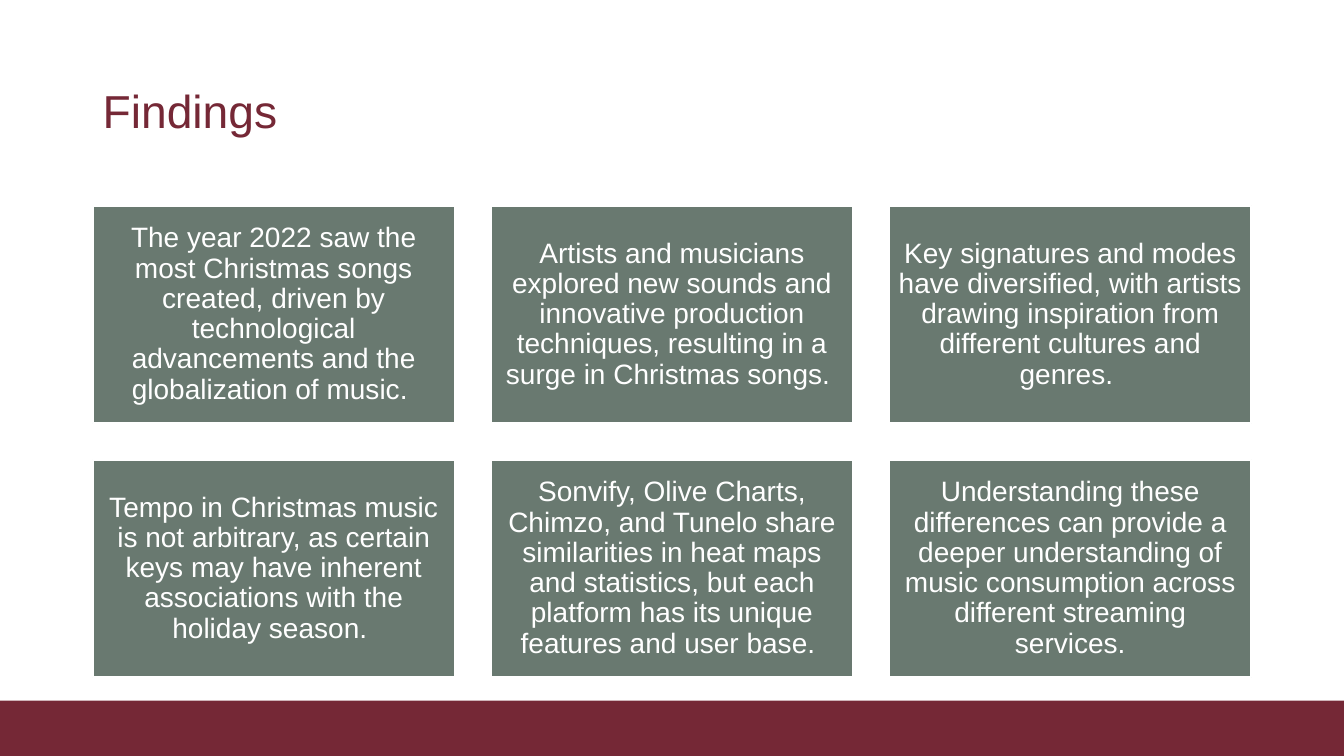
"""Build the Findings slide: a title, six finding cards and a footer band."""
from dataclasses import dataclass

from pptx import Presentation
from pptx.dml.color import RGBColor
from pptx.enum.shapes import MSO_SHAPE
from pptx.enum.text import MSO_ANCHOR, PP_ALIGN
from pptx.util import Inches, Pt

RECTANGLE = MSO_SHAPE.RECTANGLE
MIDDLE = MSO_ANCHOR.MIDDLE
LEFT, CENTER = PP_ALIGN.LEFT, PP_ALIGN.CENTER

SLIDE_WIDTH, SLIDE_HEIGHT = 13.33, 7.5
FOOTER_TOP = 6.95
CARD_LEFT, CARD_TOP = 0.92, 2.04
CARD_WIDTH, CARD_HEIGHT = 3.59, 2.16
CARD_GAP = 0.36
COLUMNS = 3

FINDINGS = [
    "The year 2022 saw the most Christmas songs created, driven by "
    "technological advancements and the globalization of music. ",
    "Artists and musicians explored new sounds and innovative production "
    "techniques, resulting in a surge in Christmas songs. ",
    "Key signatures and modes have diversified, with artists drawing "
    "inspiration from different cultures and genres. ",
    "Tempo in Christmas music is not arbitrary, as certain keys may have "
    "inherent associations with the holiday season. ",
    "Sonvify, Olive Charts, Chimzo, and Tunelo share similarities in heat maps "
    "and statistics, but each platform has its unique features and user base. ",
    "Understanding these differences can provide a deeper understanding of "
    "music consumption across different streaming services.",
]


@dataclass(frozen=True)
class Theme:
    """Colours, font and type sizes of the slide."""
    burgundy: RGBColor = RGBColor.from_string("752836")
    sage: RGBColor = RGBColor.from_string("697970")
    white: RGBColor = RGBColor.from_string("FFFFFF")
    font: str = "Arial"
    title_size: float = 33
    card_size: float = 20
    outline: float = 1.5
    line_spacing: float = 0.9


def write_text(shape, text, *, font, size, color, align, spacing, inset):
    """Fill a shape with one formatted, vertically centred paragraph."""
    frame = shape.text_frame
    frame.word_wrap = True
    frame.vertical_anchor = MIDDLE
    frame.margin_left = frame.margin_right = Inches(inset)
    frame.margin_top = frame.margin_bottom = Inches(inset)
    para = frame.paragraphs[0]
    para.alignment = align
    para.line_spacing = spacing
    span = para.add_run()
    span.text = text
    span.font.name = font
    span.font.size = Pt(size)
    span.font.color.rgb = color


class SlideBuilder:
    """Draw the elements of one page in a shared style."""

    def __init__(self, page, theme):
        """Keep the page and its theme."""
        self.page = page
        self.theme = theme

    def rectangle(self, left, top, width, height, fill, outline=None):
        """Add a flat rectangle with an optional outline."""
        box = self.page.shapes.add_shape(
            RECTANGLE, Inches(left), Inches(top), Inches(width), Inches(height))
        box.shadow.inherit = False
        box.fill.solid()
        box.fill.fore_color.rgb = fill
        if outline is None:
            box.line.fill.background()
        else:
            box.line.color.rgb = outline
            box.line.width = Pt(self.theme.outline)
        return box

    def footer(self):
        """Add the band along the bottom edge."""
        self.rectangle(0, FOOTER_TOP, SLIDE_WIDTH, SLIDE_HEIGHT - FOOTER_TOP,
                       self.theme.burgundy)

    def title(self, text):
        """Add the slide title."""
        box = self.page.shapes.add_textbox(
            Inches(CARD_LEFT), Inches(0.4), Inches(11.5), Inches(1.45))
        write_text(box, text, font=self.theme.font, size=self.theme.title_size,
                   color=self.theme.burgundy, align=LEFT,
                   spacing=self.theme.line_spacing, inset=0.1)

    def card(self, text, left, top):
        """Add one finding card."""
        box = self.rectangle(left, top, CARD_WIDTH, CARD_HEIGHT,
                             self.theme.sage, self.theme.white)
        write_text(box, text, font=self.theme.font, size=self.theme.card_size,
                   color=self.theme.white, align=CENTER,
                   spacing=self.theme.line_spacing, inset=0.08)


def main():
    """Build and save the deck."""
    deck = Presentation()
    deck.slide_width = Inches(SLIDE_WIDTH)
    deck.slide_height = Inches(SLIDE_HEIGHT)
    page = deck.slides.add_slide(deck.slide_layouts[6])
    builder = SlideBuilder(page, Theme())
    builder.footer()
    builder.title("Findings")
    for index, finding in enumerate(FINDINGS):
        row, column = divmod(index, COLUMNS)
        builder.card(finding,
                     CARD_LEFT + column * (CARD_WIDTH + CARD_GAP),
                     CARD_TOP + row * (CARD_HEIGHT + CARD_GAP))
    deck.save("out.pptx")


if __name__ == "__main__":
    main()
